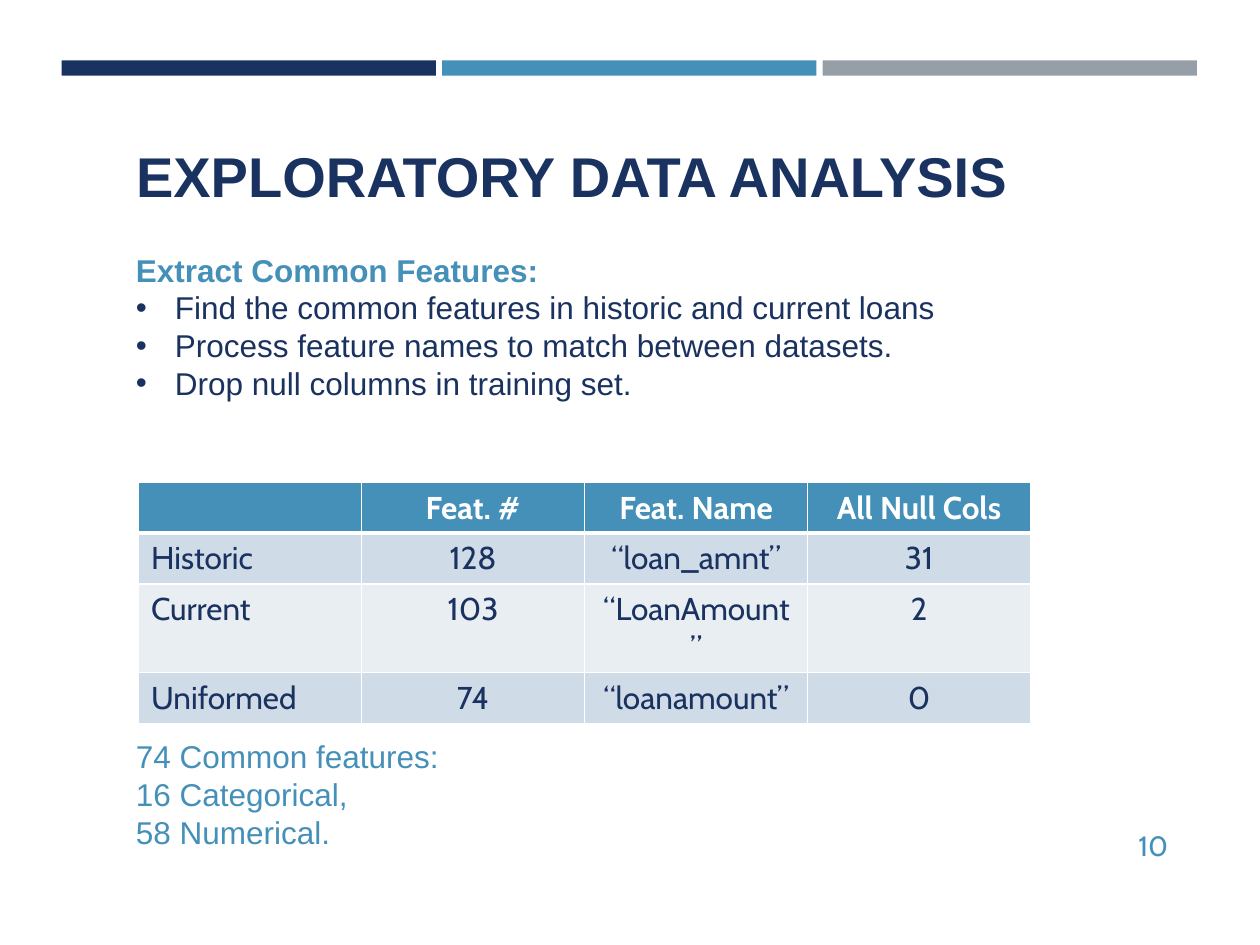
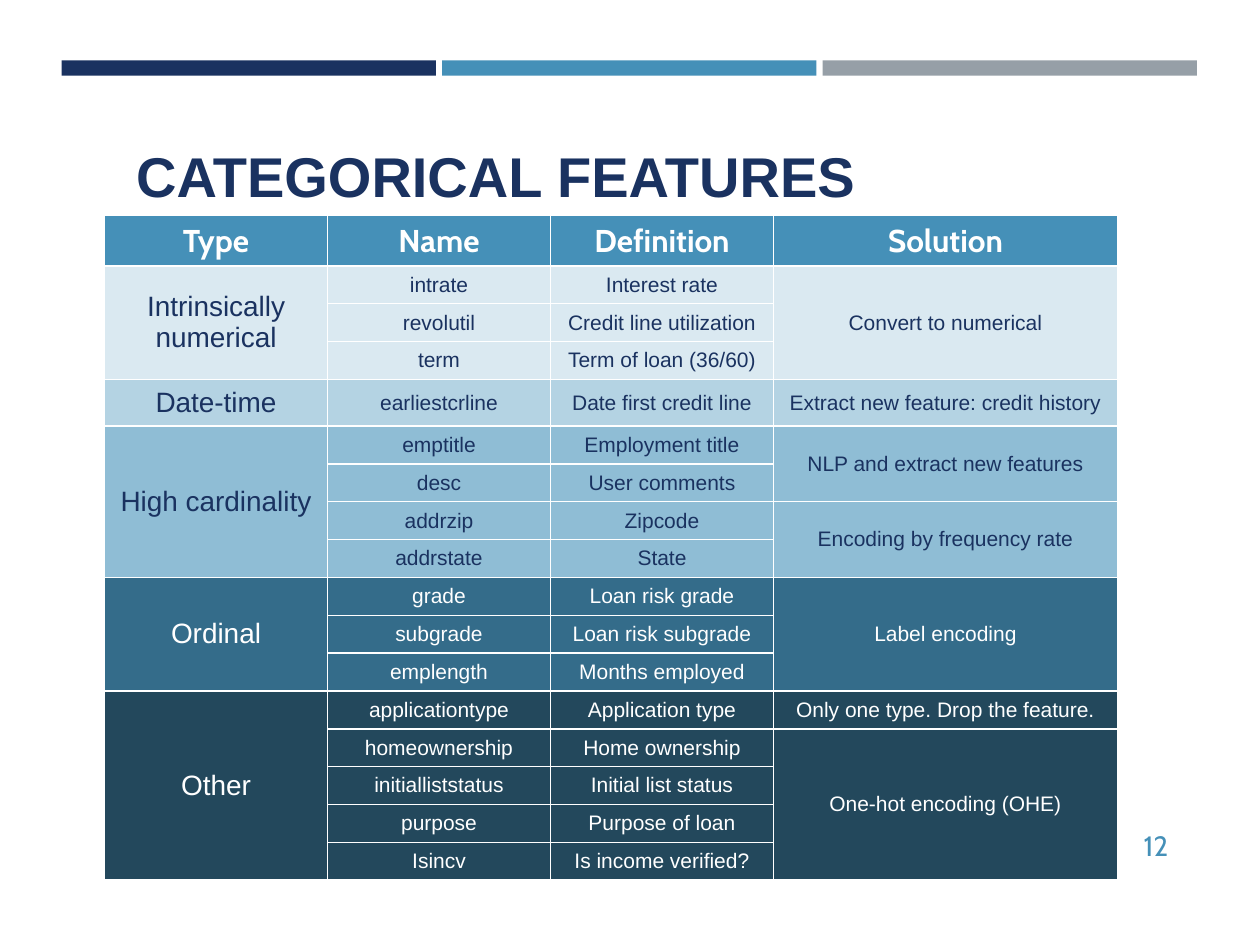
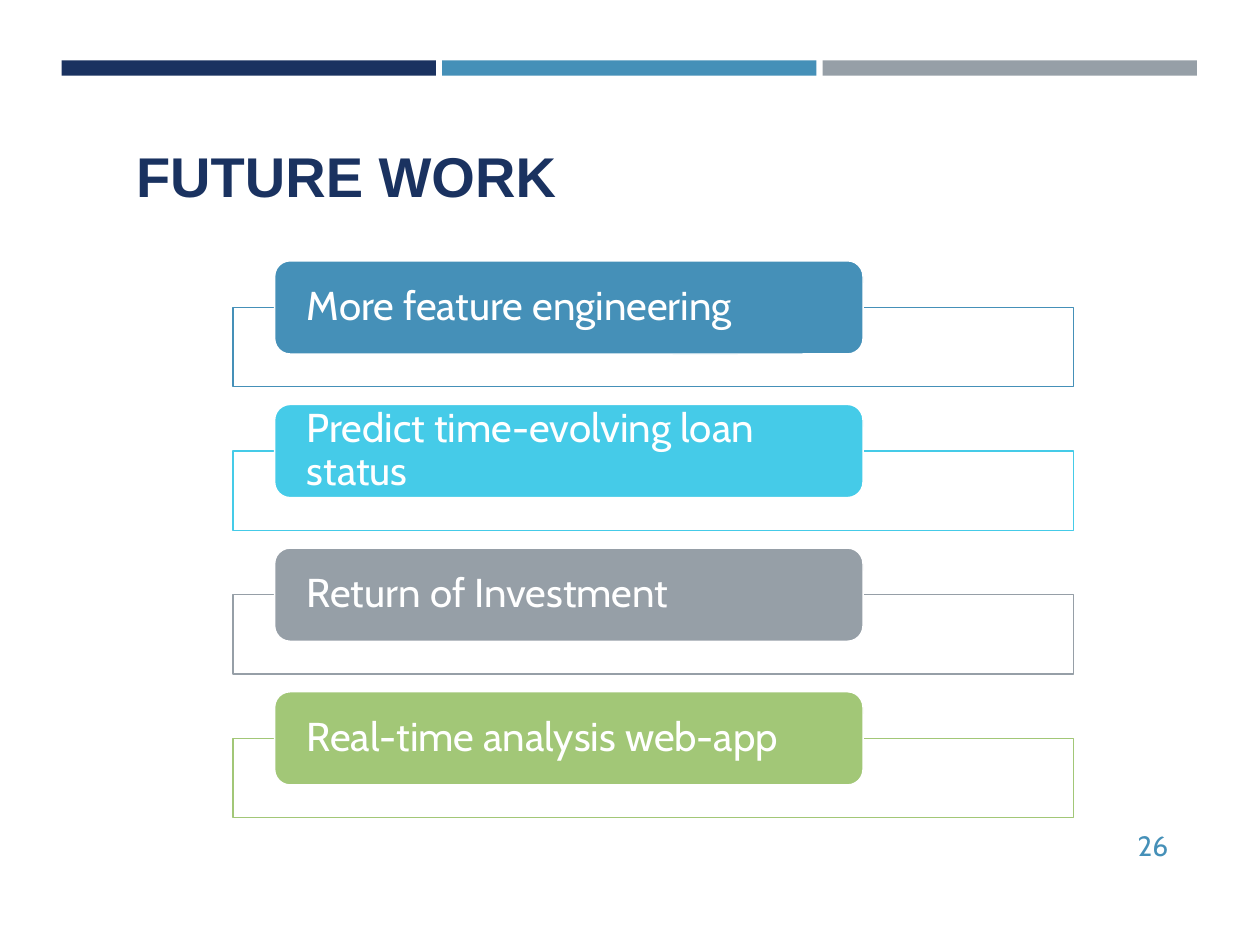
from itertools import product

from lxml.etree import SubElement
from pptx import Presentation
from pptx.dml.color import RGBColor
from pptx.enum.shapes import MSO_SHAPE
from pptx.enum.text import MSO_ANCHOR, MSO_AUTO_SIZE, PP_ALIGN
from pptx.oxml.ns import qn
from pptx.util import Inches, Pt

COLUMNS, ROWS = 100, 75
SLIDE_WIDTH, SLIDE_HEIGHT = Inches(10), Inches(7.5)
COLORS = {
    "navy": "1A3260", "blue": "4590B8", "gray": "969FA7", "white": "FFFFFF",
    "cyan": "45CBE8", "green": "A2C777", "band": "CFDBE6", "light_band": "E9EEF3",
    "numerical": "DAE9F1", "date": "B4D3E3", "cardinality": "8FBDD5",
    "ordinal": "346C8A", "other": "23485C",
}
STYLES = {
    "title": {"name": "Arial", "size": Pt(32), "bold": True},
    "heading": {"name": "Arial", "size": Pt(18), "bold": True},
    "body": {"name": "Arial", "size": Pt(18), "bold": False},
    "number": {"name": "Cabin", "size": Pt(16), "bold": False},
    "table_head": {"name": "Cabin", "size": Pt(18), "bold": True},
    "table_body": {"name": "Cabin", "size": Pt(18), "bold": False},
    "type": {"name": "Arial", "size": Pt(16), "bold": False},
    "detail": {"name": "Arial", "size": Pt(12), "bold": False},
    "plan": {"name": "Cabin", "size": Pt(23), "bold": False},
}
DATASETS = [
    ("", "Feat. #", "Feat. Name", "All Null Cols"),
    ("Historic", "128", "“loan_amnt”", "31"),
    ("Current", "103", "“LoanAmount”", "2"),
    ("Uniformed", "74", "“loanamount”", "0"),
]
FEATURE_HEADS = ("Type", "Name", "Definition", "Solution")
FEATURE_TYPES = [
    ("Intrinsically numerical", "numerical", "navy", [
        ("Convert to numerical", [
            ("intrate", "Interest rate"),
            ("revolutil", "Credit line utilization"),
            ("term", "Term of loan (36/60)")])]),
    ("Date-time", "date", "navy", [
        ("Extract new feature: credit history", [
            ("earliestcrline", "Date first credit line")])]),
    ("High cardinality", "cardinality", "navy", [
        ("NLP and extract new features", [
            ("emptitle", "Employment title"), ("desc", "User comments")]),
        ("Encoding by frequency rate", [
            ("addrzip", "Zipcode"), ("addrstate", "State")])]),
    ("Ordinal", "ordinal", "white", [
        ("Label encoding", [
            ("grade", "Loan risk grade"),
            ("subgrade", "Loan risk subgrade"),
            ("emplength", "Months employed")])]),
    ("Other", "other", "white", [
        ("Only one type. Drop the feature.", [
            ("applicationtype", "Application type")]),
        ("One-hot encoding (OHE)", [
            ("homeownership", "Home ownership"),
            ("initialliststatus", "Initial list status"),
            ("purpose", "Purpose of loan"),
            ("Isincv", "Is income verified?")])]),
]
PLANS = [
    ("More feature engineering", "blue"),
    ("Predict time-evolving loan status", "cyan"),
    ("Return of Investment", "gray"),
    ("Real-time analysis web-app", "green"),
]


def across(columns):
    """Turn grid columns into a length."""
    return int(SLIDE_WIDTH * columns / COLUMNS)


def down(rows):
    """Turn grid rows into a length."""
    return int(SLIDE_HEIGHT * rows / ROWS)


def place(left, top, width, height):
    """Turn a grid position and extent into lengths."""
    return across(left), down(top), across(width), down(height)


def rgb(color):
    """Look up a named colour."""
    return RGBColor.from_string(COLORS[color])


def apply(target, formats):
    """Set each format value on the target."""
    for attribute, value in formats.items():
        setattr(target, attribute, value)


def write(paragraph, text, style, color, alignment=PP_ALIGN.LEFT):
    """Fill a paragraph with one formatted run."""
    paragraph.alignment = alignment
    run = paragraph.add_run()
    run.text = text
    apply(run.font, STYLES[style])
    run.font.color.rgb = rgb(color)


def add_bullet(paragraph):
    """Give a paragraph a hanging round bullet."""
    properties = paragraph._p.get_or_add_pPr()
    properties.set("marL", str(across(3.1)))
    properties.set("indent", str(-across(3.1)))
    SubElement(properties, qn("a:buFont"), typeface="Arial")
    SubElement(properties, qn("a:buChar"), char="•")


def add_text(slide, position, lines, alignment=PP_ALIGN.LEFT, anchor=MSO_ANCHOR.TOP):
    """Add a text box of (text, style, colour, bulleted) lines."""
    frame = slide.shapes.add_textbox(*place(*position)).text_frame
    apply(frame, {"word_wrap": True, "vertical_anchor": anchor})
    for index, (text, style, color, bulleted) in enumerate(lines):
        paragraph = frame.add_paragraph() if index else frame.paragraphs[0]
        write(paragraph, text, style, color, alignment)
        if bulleted:
            add_bullet(paragraph)


def add_block(slide, preset, position, fill, line=None):
    """Add a filled preset shape, outlined when a line colour is given."""
    shape = slide.shapes.add_shape(preset, *place(*position))
    shape.shadow.inherit = False
    shape.fill.solid()
    shape.fill.fore_color.rgb = rgb(fill)
    if line:
        shape.line.color.rgb = rgb(line)
        shape.line.width = Pt(0.85)
    else:
        shape.line.fill.background()
    return shape


def add_slide(presentation, title, number):
    """Add a slide with its colour bands, title and number."""
    slide = presentation.slides.add_slide(presentation.slide_layouts[5])
    for index, color in enumerate(("navy", "blue", "gray")):
        add_block(slide, MSO_SHAPE.RECTANGLE, (4.9 + 30.2 * index, 4.8, 29.7, 1.2), color)
    shape = slide.shapes.title
    apply(shape, dict(zip(("left", "top", "width", "height"), place(9.8, 10.7, 78.7, 6.4))))
    apply(shape.text_frame, {"word_wrap": True, "auto_size": MSO_AUTO_SIZE.NONE,
                             "vertical_anchor": MSO_ANCHOR.TOP})
    write(shape.text_frame.paragraphs[0], title, "title", "navy")
    add_text(slide, (85.3, 65.1, 8.4, 4), [(str(number), "number", "blue", False)],
             PP_ALIGN.RIGHT, MSO_ANCHOR.MIDDLE)
    return slide


def add_table(slide, left, top, widths, heights, head_rule=1):
    """Add a table with white cell borders and a rule below its head."""
    position = place(left, top, sum(widths), sum(heights))
    table = slide.shapes.add_table(len(heights), len(widths), *position).table
    for column, width in zip(table.columns, widths):
        column.width = across(width)
    for row, height in zip(table.rows, heights):
        row.height = down(height)
    for row, column in product(range(len(heights)), range(len(widths))):
        properties = table.cell(row, column)._tc.get_or_add_tcPr()
        for edge in "LRTB":
            weight = head_rule if (row, edge) in ((0, "B"), (1, "T")) else 1
            line = SubElement(properties, qn(f"a:ln{edge}"), w=str(Pt(weight)))
            fill = SubElement(line, qn("a:solidFill"))
            SubElement(fill, qn("a:srgbClr"), val=COLORS["white"])
    return table


def fill_cell(cell, text, style, color, fill, alignment=PP_ALIGN.CENTER,
              anchor=MSO_ANCHOR.MIDDLE):
    """Colour a cell and write its text, if any."""
    cell.fill.solid()
    cell.fill.fore_color.rgb = rgb(fill)
    cell.vertical_anchor = anchor
    if text:
        write(cell.text_frame.paragraphs[0], text, style, color, alignment)


def add_dataset_table(slide):
    """Add the table that compares the loan datasets."""
    table = add_table(slide, 11, 38.3, [17.7] * 4, [4] + [4.06] * 3, head_rule=3)
    for row, values in enumerate(DATASETS):
        style, color = ("table_body", "navy") if row else ("table_head", "white")
        fill = ("band" if row % 2 else "light_band") if row else "blue"
        for column, text in enumerate(values):
            alignment = PP_ALIGN.CENTER if column else PP_ALIGN.LEFT
            fill_cell(table.cell(row, column), text, style, color, fill,
                      alignment, MSO_ANCHOR.TOP)


def add_feature_table(slide):
    """Add the table of feature types, merging shared types and solutions."""
    heights = [4] + [3] * 3 + [3.7] + [3] * 12
    table = add_table(slide, 8.3, 17.1, [17.7] * 3 + [27.3], heights)
    for column, text in enumerate(FEATURE_HEADS):
        fill_cell(table.cell(0, column), text, "table_head", "white", "blue")
    row = 1
    for kind, fill, color, solutions in FEATURE_TYPES:
        first_of_type = row
        for solution, features in solutions:
            first_of_solution = row
            for name, definition in features:
                texts = (kind if row == first_of_type else "", name, definition,
                         solution if row == first_of_solution else "")
                for column, text in enumerate(texts):
                    style = "detail" if column else "type"
                    fill_cell(table.cell(row, column), text, style, color, fill)
                row += 1
            merge_rows(table, 3, first_of_solution, row - 1)
        merge_rows(table, 0, first_of_type, row - 1)


def merge_rows(table, column, first, last):
    """Merge the cells of a column between two rows."""
    if last > first:
        table.cell(first, column).merge(table.cell(last, column))


def add_plan(slide, index, text, color):
    """Add one labelled pill over its outlined box."""
    top = 20.7 + 11.4 * index
    add_block(slide, MSO_SHAPE.RECTANGLE, (18.5, top + 3.7, 66.7, 6.3), "white", color)
    pill = add_block(slide, MSO_SHAPE.ROUNDED_RECTANGLE, (21.8, top, 46.7, 7.4), color, "white")
    apply(pill.text_frame, {"word_wrap": True, "vertical_anchor": MSO_ANCHOR.MIDDLE,
                            "margin_left": across(2.2), "margin_right": across(2.2),
                            "margin_top": 0, "margin_bottom": 0})
    paragraph = pill.text_frame.paragraphs[0]
    write(paragraph, text, "plan", "white")
    paragraph.line_spacing = 0.9


def main():
    """Build the three slides."""
    presentation = Presentation()
    apply(presentation, {"slide_width": SLIDE_WIDTH, "slide_height": SLIDE_HEIGHT})

    analysis = add_slide(presentation, "EXPLORATORY DATA ANALYSIS", 10)
    steps = ("Find the common features in historic and current loans",
             "Process feature names to match between datasets.",
             "Drop null columns in training set.")
    add_text(analysis, (9.8, 19.4, 73.2, 13.1),
             [("Extract Common Features:", "heading", "blue", False)]
             + [(step, "body", "navy", True) for step in steps])
    add_dataset_table(analysis)
    totals = ("74 Common features:", "16 Categorical,", "58 Numerical.")
    add_text(analysis, (9.8, 58, 37.8, 10.1),
             [(total, "body", "blue", False) for total in totals])

    add_feature_table(add_slide(presentation, "CATEGORICAL FEATURES", 12))

    future = add_slide(presentation, "FUTURE WORK", 26)
    for index, (text, color) in enumerate(PLANS):
        add_plan(future, index, text, color)

    presentation.save("out.pptx")


if __name__ == "__main__":
    main()
